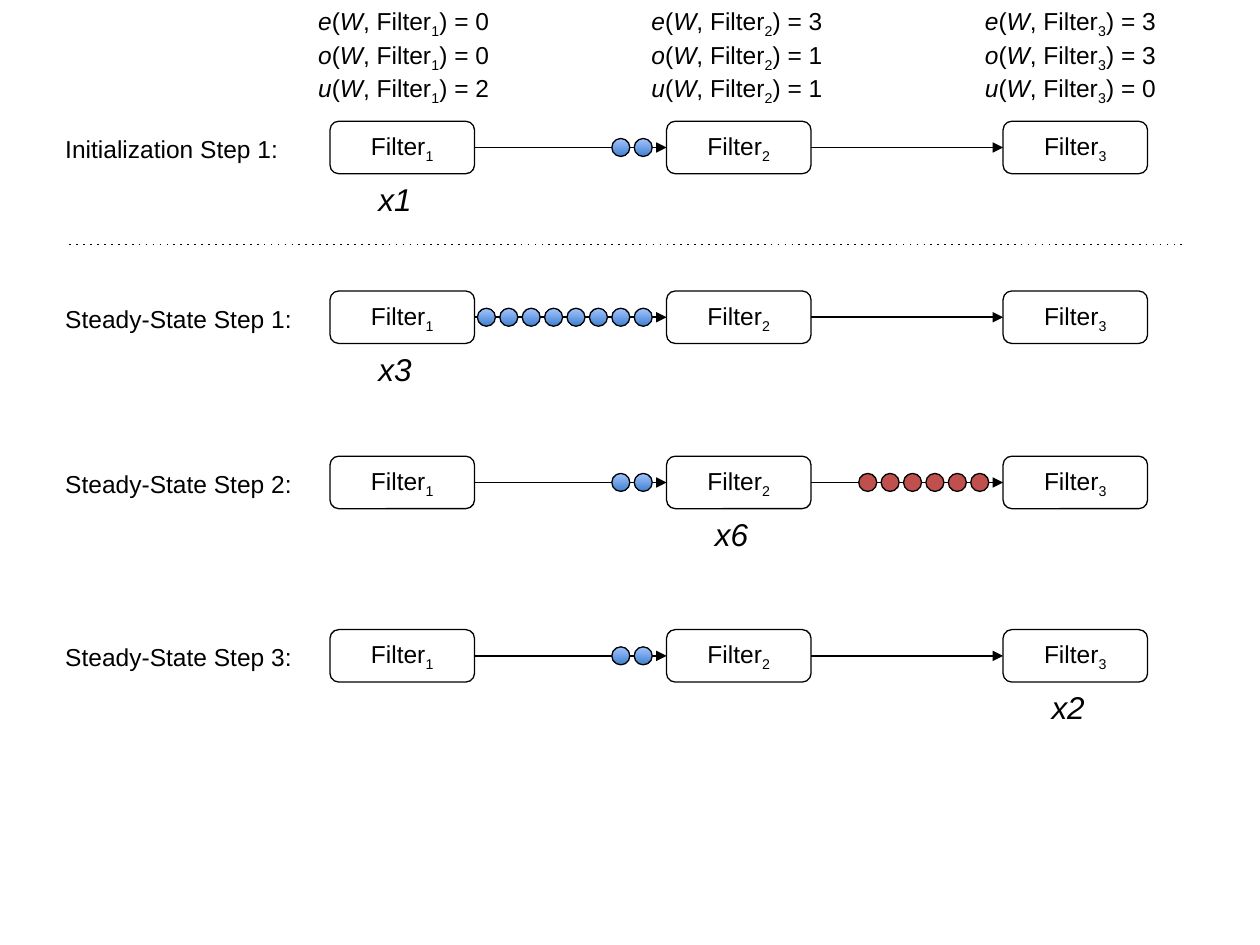
import lxml.etree
import pptx
import pptx.dml.color
import pptx.enum.shapes
import pptx.enum.text
import pptx.oxml.ns
import pptx.util

Pt = pptx.util.Pt
SHAPES = pptx.enum.shapes.MSO_SHAPE

FILTERS = [
    {"e": 0, "o": 0, "u": 2},
    {"e": 3, "o": 1, "u": 1},
    {"e": 3, "o": 3, "u": 0},
]
STEPS = [
    {"label": "Initialization Step 1:", "top": 69.3, "tokens": (2, 0), "fires": 0, "count": "x1"},
    {"label": "Steady-State Step 1:", "top": 166.3, "tokens": (8, 0), "fires": 0, "count": "x3"},
    {"label": "Steady-State Step 2:", "top": 260.7, "tokens": (2, 6), "fires": 1, "count": "x6"},
    {"label": "Steady-State Step 3:", "top": 359.8, "tokens": (2, 0), "fires": 2, "count": "x2"},
]
THEME = {
    "font": "Arial", "ink": "000000", "body": 14, "count": 18,
    "outline": 0.75, "arrow": 1,
    "tokens": [("3F80CE", "A4C4FF"), ("C0504D",)],
}
FILTER_LEFT, FILTER_PITCH = 188.6, 192.3
FILTER_WIDTH, FILTER_HEIGHT = 82.6, 30
TOKEN_SIZE, TOKEN_PITCH, TOKEN_OFFSET = 10.3, 12.8, 18.5
LABEL_LEFT, LABEL_HEIGHT = 30.2, 24.2
FORMULA_LEFT, FORMULA_PITCH = 174.7, 190.5
DIVIDER = (39.6, 139.7, 678.2)


def color(value):
    return pptx.dml.color.RGBColor.from_string(value)


def add_child(parent, tag, **attributes):
    return lxml.etree.SubElement(parent, pptx.oxml.ns.qn(tag), **attributes)


def add_span(para, text, size=THEME["body"], italic=False, subscript=False):
    span = para.add_run()
    span.text = text
    span.font.name = THEME["font"]
    span.font.size = Pt(size)
    span.font.color.rgb = color(THEME["ink"])
    span.font.italic = italic
    if subscript:
        span._r.get_or_add_rPr().set("baseline", "-25000")


def add_text_box(page, left, top, width, height):
    box = page.shapes.add_textbox(Pt(left), Pt(top), Pt(width), Pt(height))
    box.text_frame.word_wrap = False
    box.text_frame.auto_size = pptx.enum.text.MSO_AUTO_SIZE.SHAPE_TO_FIT_TEXT
    return box.text_frame


def add_outlined(page, kind, left, top, width, height):
    shape = page.shapes.add_shape(kind, Pt(left), Pt(top), Pt(width), Pt(height))
    shape.shadow.inherit = False
    shape.line.color.rgb = color(THEME["ink"])
    shape.line.width = Pt(THEME["outline"])
    return shape


def add_filter(page, number, left, top):
    box = add_outlined(page, SHAPES.ROUNDED_RECTANGLE, left, top, FILTER_WIDTH, FILTER_HEIGHT)
    box.fill.background()
    box.text_frame.word_wrap = False
    box.text_frame.vertical_anchor = pptx.enum.text.MSO_ANCHOR.MIDDLE
    para = box.text_frame.paragraphs[0]
    para.alignment = pptx.enum.text.PP_ALIGN.CENTER
    add_span(para, "Filter")
    add_span(para, str(number), subscript=True)
    return box


def add_line(page, start_x, end_x, y, tag, **attributes):
    line = page.shapes.add_connector(
        pptx.enum.shapes.MSO_CONNECTOR.STRAIGHT, Pt(start_x), Pt(y), Pt(end_x), Pt(y))
    line.line.color.rgb = color(THEME["ink"])
    line.line.width = Pt(THEME["arrow"])
    properties = line._element.spPr
    add_child(properties.get_or_add_ln(), tag, **attributes)
    add_child(properties, "a:effectLst")
    return line


def add_arrow(page, source, target, start_x, end_x, y):
    arrow = add_line(page, start_x, end_x, y, "a:tailEnd", type="triangle")
    arrow.begin_connect(source, 3)
    arrow.end_connect(target, 1)


def add_token(page, left, top, colors):
    token = add_outlined(page, SHAPES.OVAL, left, top, TOKEN_SIZE, TOKEN_SIZE)
    if len(colors) == 1:
        token.fill.solid()
        token.fill.fore_color.rgb = color(colors[0])
        return
    token.fill.gradient()
    token.fill.gradient_angle = 90
    for stop, value in zip(token.fill.gradient_stops, colors):
        stop.color.rgb = color(value)


def add_formulas(page, index, values):
    frame = add_text_box(page, FORMULA_LEFT + index * FORMULA_PITCH, 0, 114.5, 74.9)
    for row, (name, value) in enumerate(values.items()):
        para = frame.add_paragraph() if row else frame.paragraphs[0]
        add_span(para, name, italic=True)
        add_span(para, "(")
        add_span(para, "W", italic=True)
        add_span(para, ", Filter")
        add_span(para, str(index + 1), subscript=True)
        add_span(para, f") = {value}")


def add_step(page, step):
    top = step["top"]
    middle = top + FILTER_HEIGHT / 2
    lefts = [FILTER_LEFT + index * FILTER_PITCH for index in range(len(FILTERS))]
    boxes = [add_filter(page, index + 1, left, top) for index, left in enumerate(lefts)]
    for channel, count in enumerate(step["tokens"]):
        target_left = lefts[channel + 1]
        add_arrow(page, boxes[channel], boxes[channel + 1],
                  lefts[channel] + FILTER_WIDTH, target_left, middle)
        for place in range(count):
            add_token(page, target_left - TOKEN_OFFSET - place * TOKEN_PITCH,
                      middle - TOKEN_SIZE / 2, THEME["tokens"][channel])
    label = add_text_box(page, LABEL_LEFT, middle - LABEL_HEIGHT / 2 + 0.8, 144.7, LABEL_HEIGHT)
    add_span(label.paragraphs[0], step["label"])
    count_box = add_text_box(page, lefts[step["fires"]] + 20.6, top + FILTER_HEIGHT, 38.2, 28.8)
    add_span(count_box.paragraphs[0], step["count"], size=THEME["count"], italic=True)


def main():
    deck = pptx.Presentation()
    deck.slide_width, deck.slide_height = Pt(720), Pt(540)
    page = deck.slides.add_slide(deck.slide_layouts[6])
    for index, values in enumerate(FILTERS):
        add_formulas(page, index, values)
    for step in STEPS:
        add_step(page, step)
    left, y, right = DIVIDER
    add_line(page, left, right, y, "a:prstDash", val="dot")
    deck.save("out.pptx")


if __name__ == "__main__":
    main()
